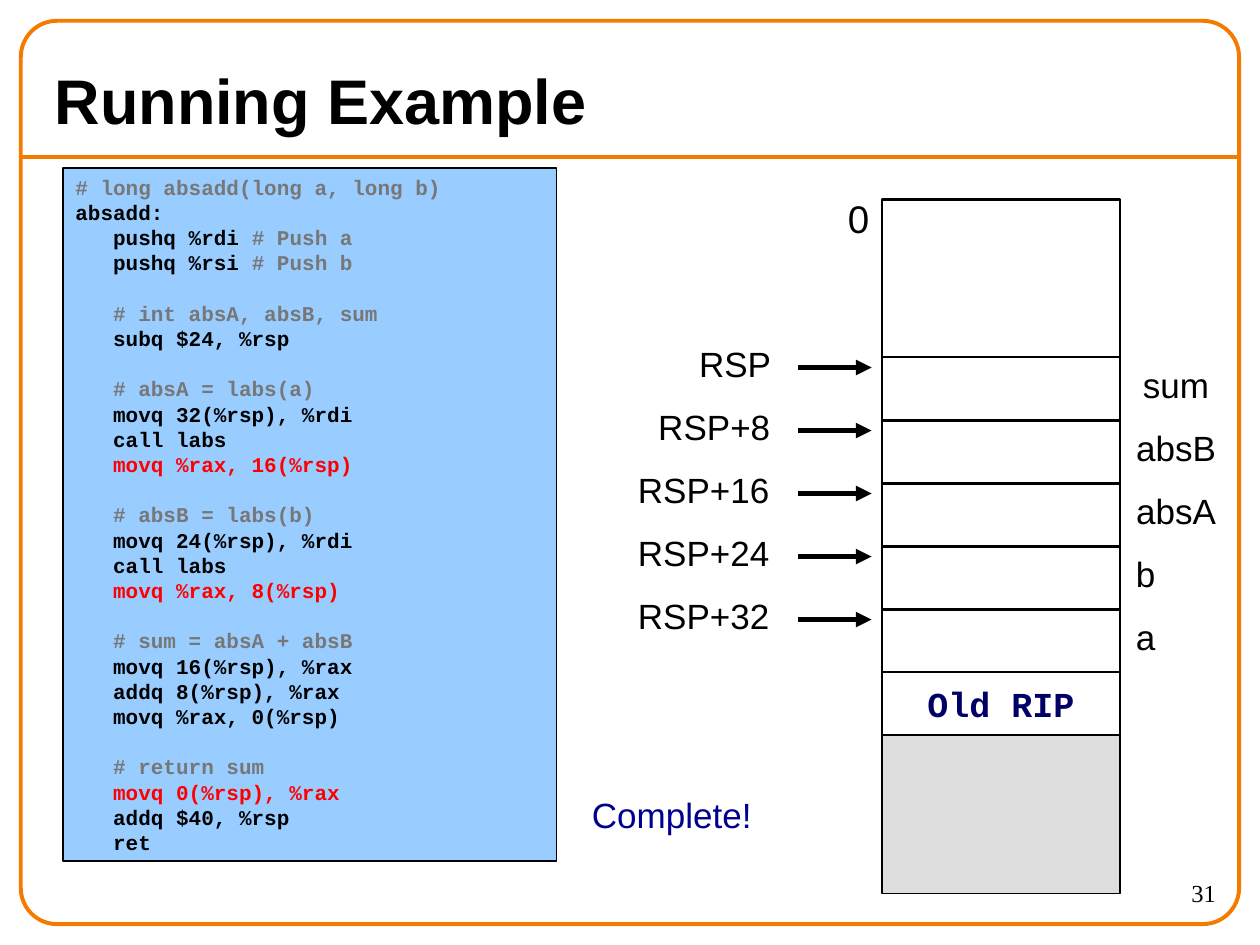
from lxml import etree
from pptx import Presentation
from pptx import util as u
from pptx.dml.color import RGBColor
from pptx.enum import shapes, text
from pptx.oxml.ns import qn

BLACK, GREY, RED, ORANGE = "000000", "777777", "FF0000", "F47A00"
LINE_HEIGHT = 14.4
ROW_PITCH = 1.27

CODE_BLOCKS = [
    ["# long absadd(long a, long b)", "absadd:",
     "   pushq %rdi # Push a", "   pushq %rsi # Push b"],
    ["   # int absA, absB, sum", "   subq $24, %rsp"],
    ["   # absA = labs(a)", "   movq 32(%rsp), %rdi", "   call labs",
     "   movq %rax, 16(%rsp)"],
    ["   # absB = labs(b)", "   movq 24(%rsp), %rdi", "   call labs",
     "   movq %rax, 8(%rsp)"],
    ["   # sum = absA + absB", "   movq 16(%rsp), %rax",
     "   addq 8(%rsp), %rax", "   movq %rax, 0(%rsp)"],
    ["   # return sum", "   movq 0(%rsp), %rax", "   addq $40, %rsp", "   ret"],
]
HIGHLIGHTED = {"movq %rax, 16(%rsp)", "movq %rax, 8(%rsp)", "movq 0(%rsp), %rax"}

# pointer label, its width, variable name, its width
STACK_ROWS = [
    ("RSP", 2.12, "sum", 2.12),
    ("RSP+8", 2.96, "absB", 2.12),
    ("RSP+16", 3.39, "absA", 2.12),
    ("RSP+24", 3.39, "b", 0.85),
    ("RSP+32", 3.39, "a", 0.85),
]


def color(hex_string):
    return RGBColor.from_string(hex_string)


def lengths(box):
    return [u.Cm(value) for value in box]


def style(font, size, fill=BLACK, name="Arial", bold=False):
    font.size, font.name, font.bold = u.Pt(size), name, bold
    font.color.rgb = color(fill)


def add_box(page, box, line, width, fill=None, kind=shapes.MSO_SHAPE.RECTANGLE):
    shape = page.shapes.add_shape(kind, *lengths(box))
    shape.shadow.inherit = False
    shape.line.color.rgb = color(line)
    shape.line.width = u.Pt(width)
    if fill:
        shape.fill.solid()
        shape.fill.fore_color.rgb = color(fill)
    else:
        shape.fill.background()
    return shape


def add_line(page, start, end, line, width, arrow=False):
    connector = page.shapes.add_connector(
        shapes.MSO_CONNECTOR.STRAIGHT, *lengths(start + end))
    connector.line.color.rgb = color(line)
    connector.line.width = u.Pt(width)
    if arrow:
        etree.SubElement(connector.line._get_or_add_ln(), qn("a:tailEnd"), type="triangle")
    etree.SubElement(connector._element.spPr, qn("a:effectLst"))


def add_label(page, box, words, size=20, fill=BLACK, name="Arial",
              align=text.PP_ALIGN.CENTER):
    frame = page.shapes.add_textbox(*lengths(box)).text_frame
    frame.word_wrap = True
    frame.text = words
    para = frame.paragraphs[0]
    para.alignment = align
    style(para.runs[0].font, size, fill, name)


def add_frame(page, box):
    """Draw the rounded slide border, the rule under the title and the number."""
    left, top, width, height = box
    border = add_box(page, box, ORANGE, 2.25, kind=shapes.MSO_SHAPE.ROUNDED_RECTANGLE)
    border.adjustments[0] = 0.04
    rule = top + 2.75
    add_line(page, (left, rule), (left + width, rule), ORANGE, 2.25)
    add_label(page, (left + width - 2.76, top + height - 1.06, 2.54, 1.07), "31", 14,
              name="Times New Roman", align=text.PP_ALIGN.RIGHT)


def set_title(page, box, words):
    title = page.shapes.title
    title.left, title.top, title.width, title.height = lengths(box)
    frame = title.text_frame
    frame.text = words
    frame.vertical_anchor = text.MSO_ANCHOR.MIDDLE
    para = frame.paragraphs[0]
    para.alignment = text.PP_ALIGN.LEFT
    style(para.runs[0].font, 36, bold=True)


def add_code(page, box):
    frame = add_box(page, box, BLACK, 0.75, "99CCFF").text_frame
    frame.word_wrap = True
    frame.vertical_anchor = text.MSO_ANCHOR.TOP
    lines = [line for block in CODE_BLOCKS for line in block]
    frame.text = "\n".join(lines)
    block_starts = [block[0] for block in CODE_BLOCKS[1:]]
    for para, line in zip(frame.paragraphs, lines):
        para.alignment = text.PP_ALIGN.LEFT
        para.line_spacing = u.Pt(LINE_HEIGHT)
        if line in block_starts:
            para.space_before = u.Pt(LINE_HEIGHT)
        code, mark, comment = line.partition("#")
        span = para.runs[0]
        if code.strip():
            span.text = code
            style(span.font, 12, RED if code.strip() in HIGHLIGHTED else BLACK,
                  "Courier New", True)
            if mark:
                span = para.add_run()
                span.text = mark + comment
        if mark:
            style(span.font, 12, GREY, "Courier New", True)


def add_stack(page, box):
    """Draw the memory column with its pointers on the left and names on the right."""
    left, top, width, height = box
    add_box(page, box, BLACK, 1.5)
    add_label(page, (left - 1.27, top - 0.21, 1.6, 1.19), "0", 22)
    first_row = top + 3.18
    for index, (pointer, pointer_width, variable, variable_width) in enumerate(STACK_ROWS):
        row = first_row + index * ROW_PITCH
        add_box(page, (left, row, width, 1.3), BLACK, 1)
        add_label(page, (left - 1.9 - pointer_width, row - 0.42, pointer_width, 1.11), pointer)
        add_line(page, (left - 1.69, row + 0.21), (left - 0.21, row + 0.21), BLACK, 3, True)
        add_label(page, (left + width + 0.07, row, variable_width, 1.11), variable)

    caller = first_row + len(STACK_ROWS) * ROW_PITCH
    add_box(page, (left, caller, width, 4.47), BLACK, 0.75, "DDDDDD")
    frame = add_box(page, (left, caller, width, ROW_PITCH), BLACK, 0.75, "FFFFFF").text_frame
    frame.text = "Old RIP"
    frame.vertical_anchor = text.MSO_ANCHOR.MIDDLE
    frame.paragraphs[0].alignment = text.PP_ALIGN.CENTER
    style(frame.paragraphs[0].runs[0].font, 20, "000066", "Courier New", True)


def main():
    deck = Presentation()
    deck.slide_width, deck.slide_height = u.Cm(25.4), u.Cm(19.05)
    page = deck.slides.add_slide(deck.slide_layouts[5])
    add_frame(page, (0.42, 0.42, 24.56, 18.21))
    set_title(page, (0.85, 1.06, 23.7, 1.9), "Running Example")
    add_code(page, (1.27, 3.39, 9.95, 13.97))
    add_stack(page, (17.78, 4.02, 4.8, 13.77))
    add_label(page, (11.43, 15.88, 4.23, 1.11), "Complete!", fill="000090")
    deck.save("out.pptx")


if __name__ == "__main__":
    main()
